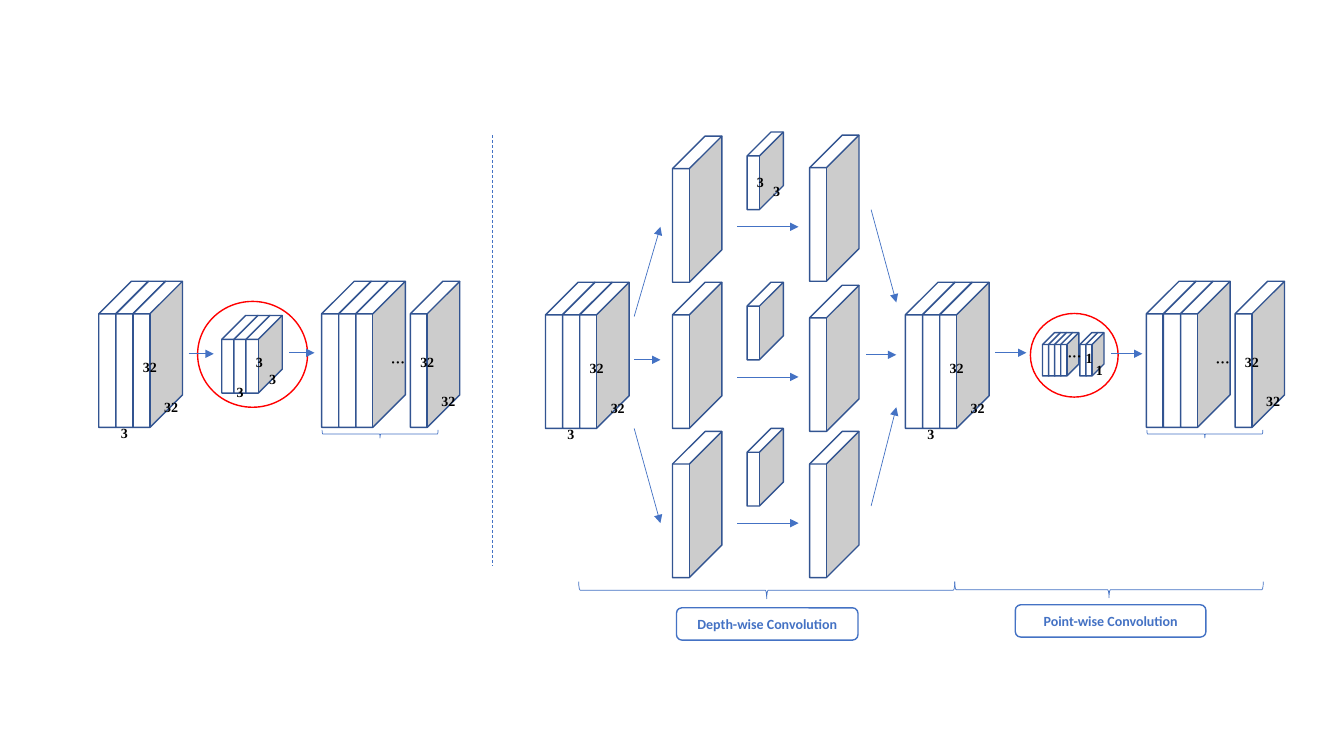
"""Draw standard convolution beside depth-wise separable convolution."""
from lxml import etree
from pptx import Presentation
from pptx.dml.color import RGBColor
from pptx.enum.dml import MSO_LINE
from pptx.enum.shapes import MSO_CONNECTOR, MSO_SHAPE
from pptx.enum.text import MSO_ANCHOR, MSO_AUTO_SIZE, PP_ALIGN
from pptx.oxml.ns import qn
from pptx.util import Pt

CUBE, OVAL = MSO_SHAPE.CUBE, MSO_SHAPE.OVAL
BRACE, ROUND = MSO_SHAPE.LEFT_BRACE, MSO_SHAPE.ROUNDED_RECTANGLE
LINE, DASH = MSO_CONNECTOR.STRAIGHT, MSO_LINE.DASH
MIDDLE, CENTER = MSO_ANCHOR.MIDDLE, PP_ALIGN.CENTER
GROW = MSO_AUTO_SIZE.SHAPE_TO_FIT_TEXT
PX = 9144
HUES = {"white": "FFFFFF", "navy": "325491", "blue": "4472C4",
        "red": "FF0000", "black": "000000"}
HUES = {name: RGBColor.from_string(code) for name, code in HUES.items()}

deck = Presentation()
deck.slide_width, deck.slide_height = 1333 * PX, 750 * PX
slide = deck.slides.add_slide(deck.slide_layouts[6])
shapes = slide.shapes


def add_form(kind, box, hue, width=1, fill=None):
    form = shapes.add_shape(kind, *[n * PX for n in box])
    form.shadow.inherit = False
    if fill:
        form.fill.solid()
        form.fill.fore_color.rgb = HUES[fill]
    else:
        form.fill.background()
    form.line.color.rgb = HUES[hue]
    form.line.width = Pt(width)
    return form


def set_text(frame, text, face, hue):
    part = frame.paragraphs[0]
    part.text = text
    style = {"name": face, "size": Pt(10), "bold": True}
    for key, value in style.items():
        setattr(part.font, key, value)
    part.font.color.rgb = HUES[hue]
    return part


inputs = [(98, 279), (541, 280), (898, 280)]
outputs = [(319, 279), (1137, 279)]

sizes = {"map": (49, 145, 17), "kernel": (36, 77, 12), "point": (18, 43, 6)}
stacks = [("map", x, y, 3) for x, y in inputs + outputs]
stacks += [("map", x + 88, y, 1) for x, y in outputs]
stacks += [("map", 667, y, 1) for y in (135, 280, 428)]
stacks += [("map", 803, y, 1) for y in (134, 283, 428)]
stacks += [("kernel", 741, y, 1) for y in (131, 280, 425)]
stacks += [("kernel", 220, 313, 3), ("point", 1034, 330, 4),
           ("point", 1071, 330, 2)]
for size, x, y, count in stacks:
    wide, high, step = sizes[size]
    for i in range(count):
        cube = add_form(CUBE, (x + i * step, y, wide, high), "navy",
                        fill="white")
        cube.adjustments[0] = 0.66

for box in [(196, 299, 109, 105), (1022, 311, 87, 83)]:
    add_form(OVAL, box, "red")

braces = [(x + 54, y + 94, 8, 115) for x, y in outputs]
braces += [(752, 399, 17, 373), (1092, 432, 16, 306)]
for box in braces:
    brace = add_form(BRACE, box, "blue", 0.5)
    brace.rotation = 270

arrows = [
    (187, 351, 212, 351), (287, 350, 312, 350),
    (629, 314, 655, 225), (629, 357, 655, 357), (629, 425, 655, 519),
    (731, 225, 792, 225), (731, 374, 792, 374), (731, 519, 792, 519),
    (864, 208, 889, 300), (859, 352, 889, 352), (864, 502, 889, 404),
    (987, 350, 1018, 350), (1102, 351, 1133, 351),
]
divider = (488, 134, 488, 561)
for ends in arrows + [divider]:
    line = shapes.add_connector(LINE, *[n * PX for n in ends])
    line.line.color.rgb = HUES["blue"]
    line.line.width = Pt(0.5)
    if ends == divider:
        line.line.dash_style = DASH
    else:
        tip = etree.SubElement(line.line._get_or_add_ln(), qn("a:tailEnd"))
        tip.set("type", "triangle")
    etree.SubElement(line._element.spPr, qn("a:effectLst"))

labels = [("3", 244, 346), ("3", 257, 363), ("3", 225, 376),
          ("3", 741, 167), ("3", 757, 176),
          ("···", 1049, 340), ("1", 1077, 354), ("1", 1067, 342)]
for x, y in inputs:
    labels += [("3", x + 12, y + 137), ("32", x + 55, y + 111),
               ("32", x + 34, y + 72)]
for x, y in outputs:
    labels += [("···", x + 59, y + 67), ("32", x + 109, y + 105),
               ("32", x + 88, y + 67)]
for text, x, y in labels:
    wide = 27 if len(text) == 1 else 34
    frame = shapes.add_textbox(x * PX, y * PX, wide * PX, 27 * PX).text_frame
    frame.word_wrap = False
    frame.auto_size = GROW
    set_text(frame, text, "Times New Roman", "black")

stages = [("Depth-wise Convolution", (671, 603, 180, 32)),
          ("Point-wise Convolution", (1007, 600, 189, 32))]
for text, box in stages:
    frame = add_form(ROUND, box, "blue").text_frame
    frame.vertical_anchor = MIDDLE
    set_text(frame, text, "Calibri", "blue").alignment = CENTER

deck.save("out.pptx")
